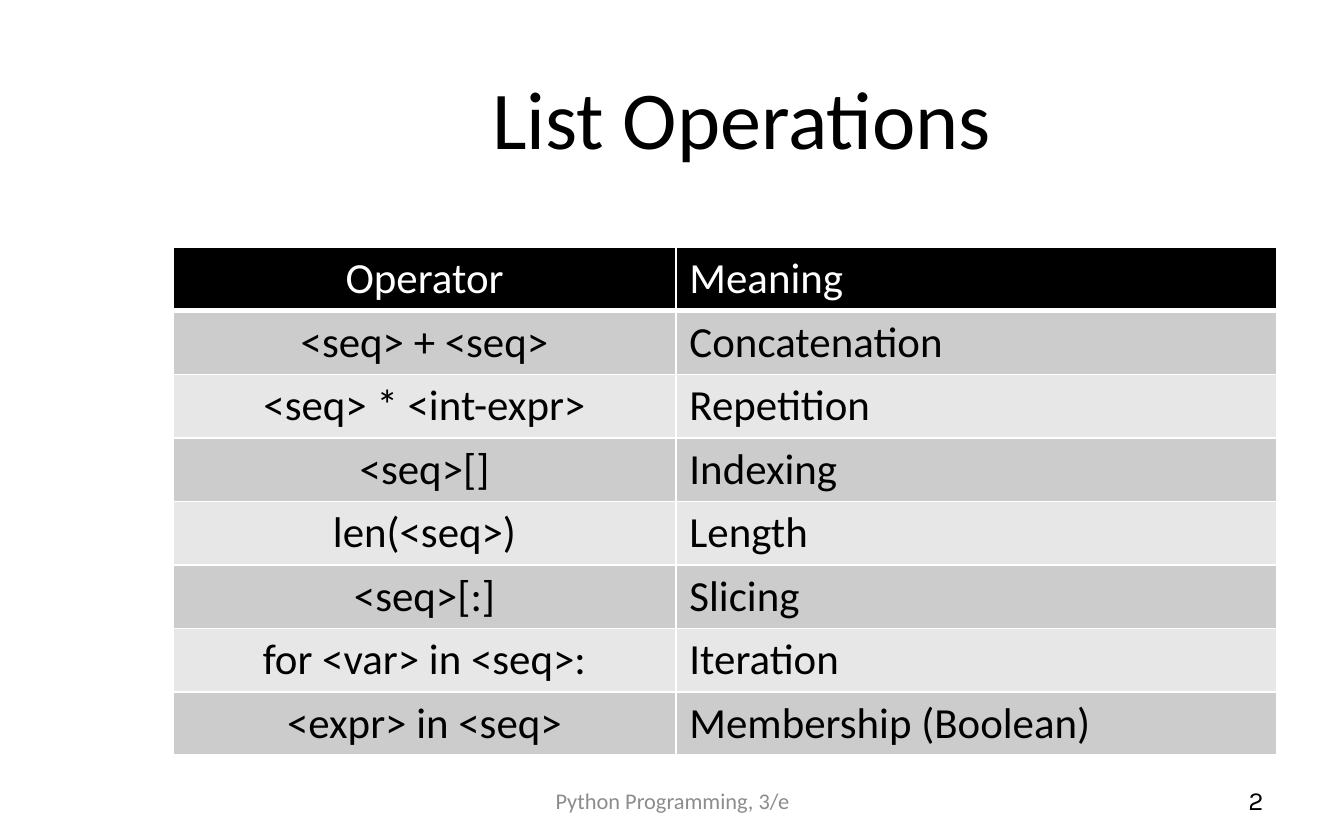
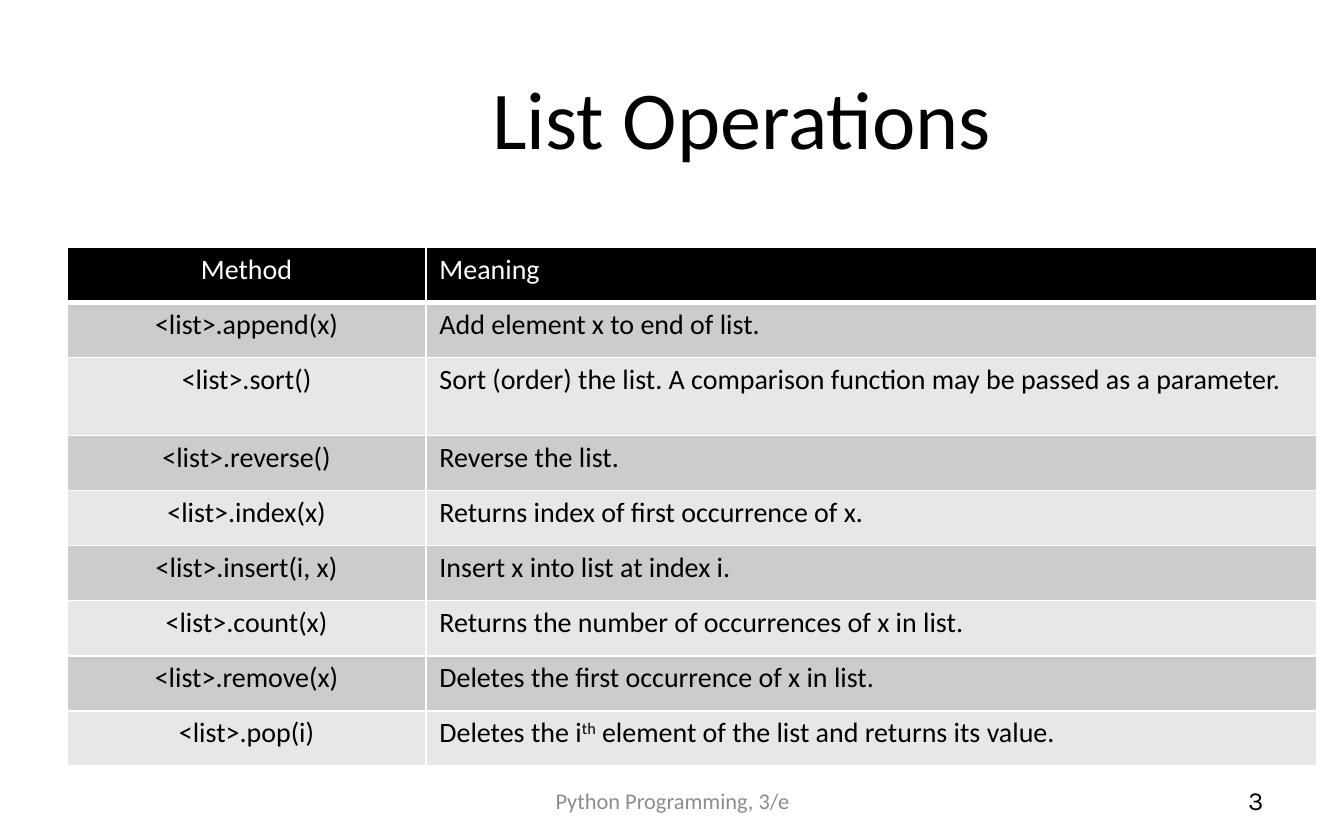
import pptx
import pptx.dml.color
import pptx.enum.text
import pptx.oxml
import pptx.oxml.ns
import pptx.util

Inches = pptx.util.Inches
ALIGN = pptx.enum.text.PP_ALIGN
MIDDLE = pptx.enum.text.MSO_ANCHOR.MIDDLE

# Shared style
BLACK, WHITE, GREY = "000000", "FFFFFF", "8C8C8C"
BANDS = ("CCCCCC", "E7E7E7")
BODY_FONT, NUMBER_FONT = "Calibri", "Karla"
TITLE_ONLY = 5
TABLE_TOP = 1.84
SUPERSCRIPT_MARK = "^"

OPERATORS = [
    ("Operator", "Meaning"),
    ("<seq> + <seq>", "Concatenation"),
    ("<seq> * <int-expr>", "Repetition"),
    ("<seq>[]", "Indexing"),
    ("len(<seq>)", "Length"),
    ("<seq>[:]", "Slicing"),
    ("for <var> in <seq>:", "Iteration"),
    ("<expr> in <seq>", "Membership (Boolean)"),
]

# Text between two superscript marks is raised
METHODS = [
    ("Method", "Meaning"),
    ("<list>.append(x)", "Add element x to end of list."),
    ("<list>.sort()", "Sort (order) the list. A comparison function may be passed as a parameter."),
    ("<list>.reverse()", "Reverse the list."),
    ("<list>.index(x)", "Returns index of first occurrence of x."),
    ("<list>.insert(i, x)", "Insert x into list at index i."),
    ("<list>.count(x)", "Returns the number of occurrences of x in list."),
    ("<list>.remove(x)", "Deletes the first occurrence of x in list."),
    ("<list>.pop(i)", "Deletes the i^th^ element of the list and returns its value."),
]


def color(value):
    return pptx.dml.color.RGBColor.from_string(value)


def format_paragraph(para, size, font, ink, align):
    para.alignment = align
    for span in para.runs:
        span.font.size = pptx.util.Pt(size)
        span.font.name = font
        span.font.bold = False
        span.font.color.rgb = color(ink)


def set_box_text(box, text, size, font, ink, align):
    frame = box.text_frame
    frame.word_wrap = True
    frame.vertical_anchor = MIDDLE
    frame.text = text
    format_paragraph(frame.paragraphs[0], size, font, ink, align)


def add_label(page, left, width, text, size, font, ink, align):
    box = page.shapes.add_textbox(Inches(left), Inches(5.79), Inches(width), Inches(0.33))
    set_box_text(box, text, size, font, ink, align)


def add_page(deck, title, number):
    page = deck.slides.add_slide(deck.slide_layouts[TITLE_ONLY])
    heading = page.shapes.title
    heading.left, heading.top = Inches(1.26), Inches(0.2)
    heading.width, heading.height = Inches(8.52), Inches(1.33)
    set_box_text(heading, title, 44, BODY_FONT, BLACK, ALIGN.CENTER)

    # Footer and page number
    add_label(page, 3.42, 3.17, "Python Programming, 3/e", 12, BODY_FONT, GREY, ALIGN.CENTER)
    add_label(page, 7.17, 2.33, str(number), 14, NUMBER_FONT, BLACK, ALIGN.RIGHT)
    return page


def set_borders(cell, bottom_width):
    properties = cell._tc.get_or_add_tcPr()
    for side, width in (("L", 1), ("R", 1), ("T", 1), ("B", bottom_width)):
        properties.append(pptx.oxml.parse_xml(
            f'<a:ln{side} {pptx.oxml.ns.nsdecls("a")} w="{pptx.util.Pt(width)}">'
            f'<a:solidFill><a:srgbClr val="{WHITE}"/></a:solidFill></a:ln{side}>'))


def fill_cell(cell, text, size, is_header, band, align):
    set_borders(cell, 3 if is_header else 1)
    cell.fill.solid()
    cell.fill.fore_color.rgb = color(BLACK if is_header else band)
    cell.margin_left = cell.margin_right = Inches(0.1)
    cell.margin_top = cell.margin_bottom = Inches(0.04)
    para = cell.text_frame.paragraphs[0]
    for index, part in enumerate(text.split(SUPERSCRIPT_MARK)):
        span = para.add_run()
        span.text = part
        if index % 2:
            span.font._element.set("baseline", "30000")
    format_paragraph(para, size, BODY_FONT, WHITE if is_header else BLACK, align)


def add_listing(page, rows, left, widths, heights, size):
    frame = page.shapes.add_table(len(rows), len(widths), Inches(left), Inches(TABLE_TOP),
                                  Inches(sum(widths)), Inches(sum(heights)))
    table = frame.table
    for column, width in zip(table.columns, widths):
        column.width = Inches(width)
    for index, (texts, height) in enumerate(zip(rows, heights)):
        table.rows[index].height = Inches(height)
        for position, (text, align) in enumerate(zip(texts, (ALIGN.CENTER, ALIGN.LEFT))):
            fill_cell(table.cell(index, position), text, size, index == 0,
                      BANDS[(index - 1) % 2], align)


def main():
    deck = pptx.Presentation()
    deck.slide_width, deck.slide_height = Inches(10), Inches(6.25)

    # Operators
    page = add_page(deck, "List Operations", 2)
    add_listing(page, OPERATORS, 1.29, (3.74, 4.47), [3.78 / len(OPERATORS)] * len(OPERATORS), 23)

    # Methods, with a taller row for sort
    page = add_page(deck, "List Operations", 3)
    heights = [0.58 if name == "<list>.sort()" else 0.41 for name, meaning in METHODS]
    add_listing(page, METHODS, 0.5, (2.67, 6.63), heights, 15)

    deck.save("out.pptx")


if __name__ == "__main__":
    main()
